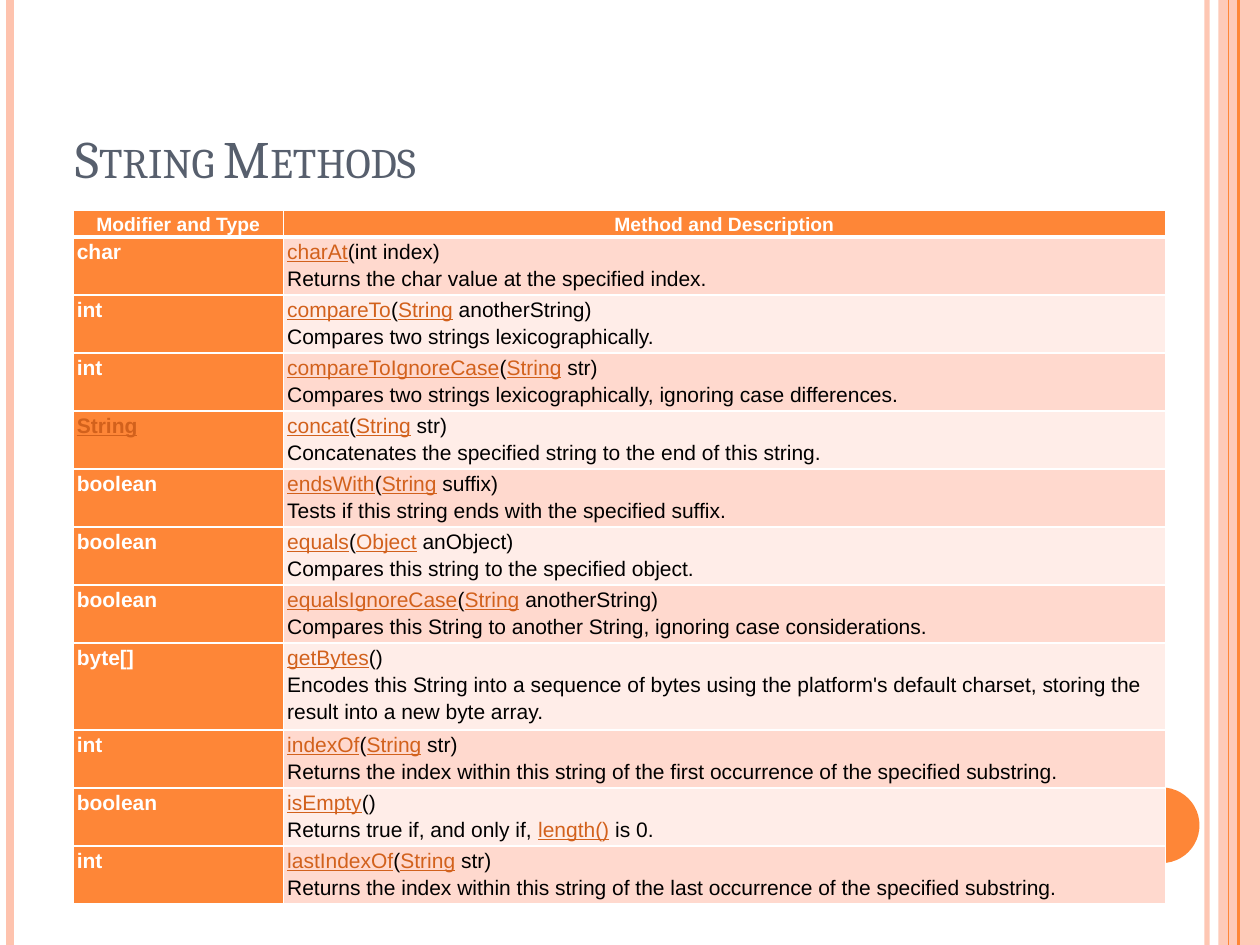
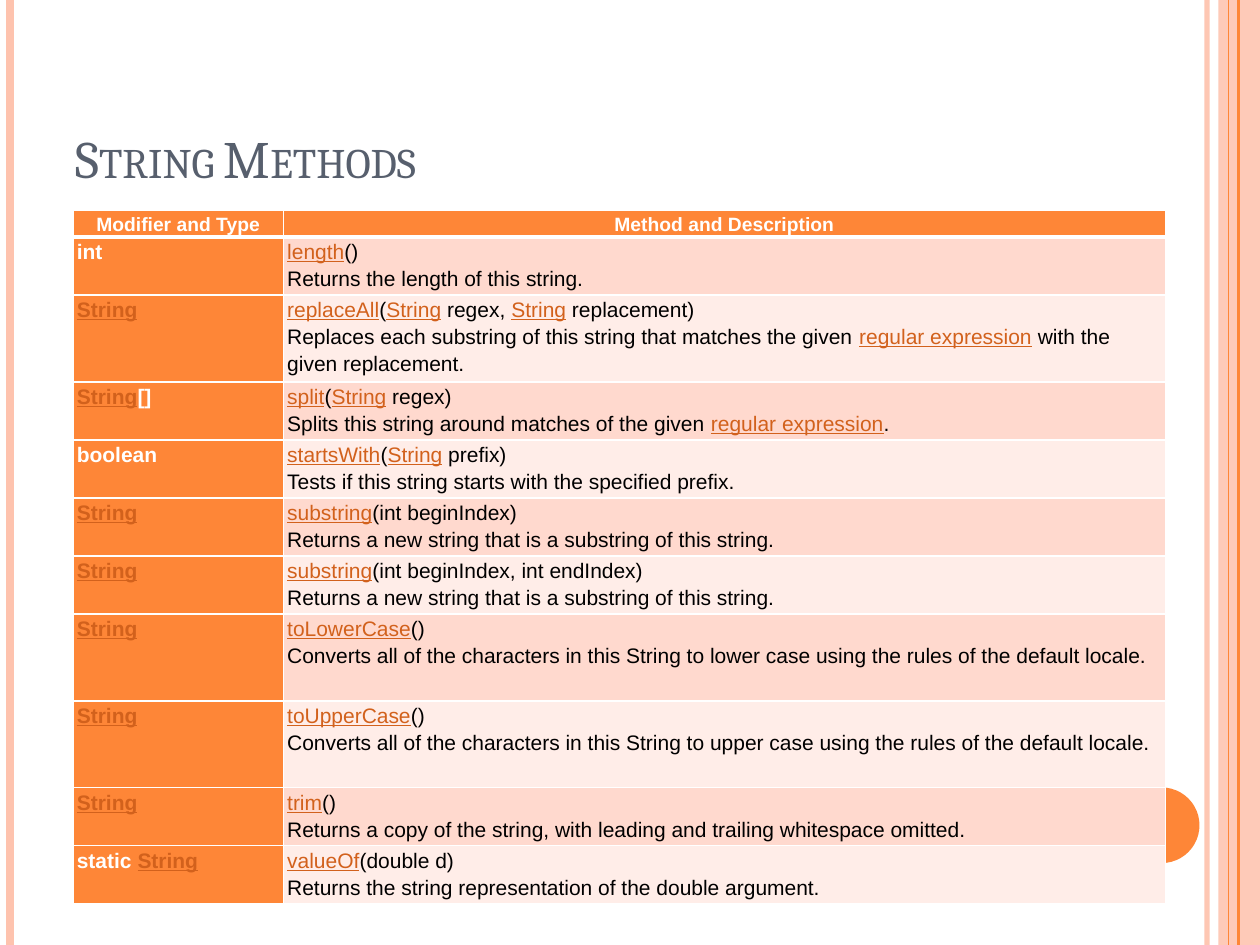
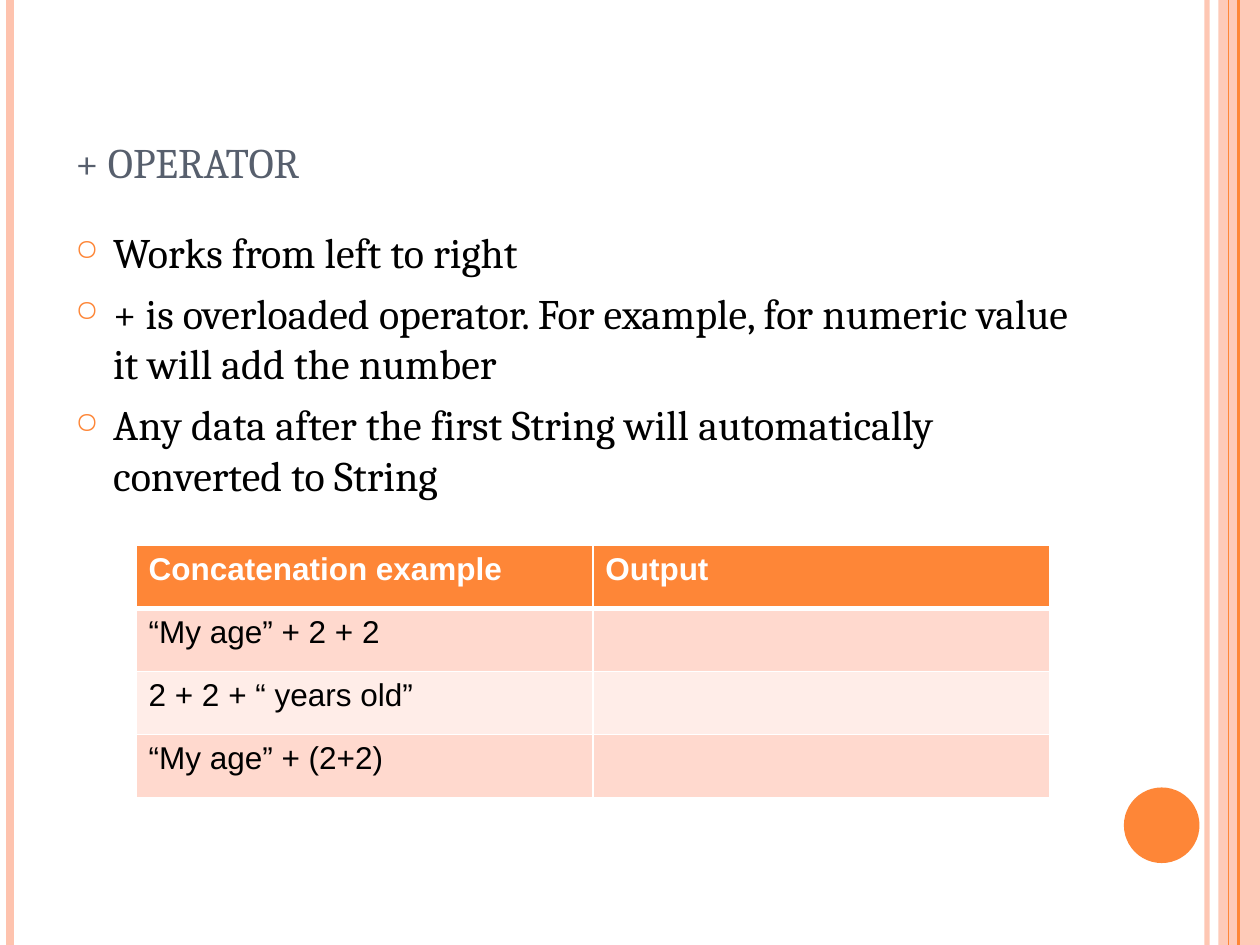
import pptx
import pptx.dml.color
import pptx.enum.shapes
import pptx.enum.text
import pptx.oxml
import pptx.oxml.ns
import pptx.util
from lxml import etree

Inches = pptx.util.Inches
Pt = pptx.util.Pt
RGBColor = pptx.dml.color.RGBColor
MSO_SHAPE = pptx.enum.shapes.MSO_SHAPE
PP_ALIGN = pptx.enum.text.PP_ALIGN
qn = pptx.oxml.ns.qn

ORANGE = RGBColor(0xFE, 0x86, 0x37)
PEACH = RGBColor(0xFE, 0xC3, 0xAE)
SLATE = RGBColor(0x57, 0x5F, 0x6D)
LINK = RGBColor(0xD2, 0x61, 0x1C)
BAND_DARK = RGBColor(0xFF, 0xD9, 0xCE)
BAND_LIGHT = RGBColor(0xFF, 0xED, 0xE8)
WHITE = RGBColor(0xFF, 0xFF, 0xFF)
BLACK = RGBColor(0, 0, 0)
HEAD_FONT, TABLE_FONT = "Cambria", "Arial"

# Text between asterisks is shown as a link
METHOD_HEADER = ("Modifier and Type", "Method and Description")
METHODS_1 = [
    ("char", "*charAt*(int index)", "Returns the char value at the specified index."),
    ("int", "*compareTo*(*String* anotherString)", "Compares two strings lexicographically."),
    ("int", "*compareToIgnoreCase*(*String* str)",
     "Compares two strings lexicographically, ignoring case differences."),
    ("*String*", "*concat*(*String* str)",
     "Concatenates the specified string to the end of this string."),
    ("boolean", "*endsWith*(*String* suffix)",
     "Tests if this string ends with the specified suffix."),
    ("boolean", "*equals*(*Object* anObject)", "Compares this string to the specified object."),
    ("boolean", "*equalsIgnoreCase*(*String* anotherString)",
     "Compares this String to another String, ignoring case considerations."),
    ("byte[]", "*getBytes*()",
     "Encodes this String into a sequence of bytes using the platform's default charset, "
     "storing the result into a new byte array."),
    ("int", "*indexOf*(*String* str)",
     "Returns the index within this string of the first occurrence of the specified substring."),
    ("boolean", "*isEmpty*()", "Returns true if, and only if, *length()* is 0."),
    ("int", "*lastIndexOf*(*String* str)",
     "Returns the index within this string of the last occurrence of the specified substring."),
]
METHODS_2 = [
    ("int", "*length*()", "Returns the length of this string."),
    ("*String*", "*replaceAll*(*String* regex, *String* replacement)",
     "Replaces each substring of this string that matches the given *regular expression* "
     "with the given replacement."),
    ("*String*[]", "*split*(*String* regex)",
     "Splits this string around matches of the given *regular expression*."),
    ("boolean", "*startsWith*(*String* prefix)",
     "Tests if this string starts with the specified prefix."),
    ("*String*", "*substring*(int beginIndex)",
     "Returns a new string that is a substring of this string."),
    ("*String*", "*substring*(int beginIndex, int endIndex)",
     "Returns a new string that is a substring of this string."),
    ("*String*", "*toLowerCase*()",
     "Converts all of the characters in this String to lower case using the rules of the "
     "default locale."),
    ("*String*", "*toUpperCase*()",
     "Converts all of the characters in this String to upper case using the rules of the "
     "default locale."),
    ("*String*", "*trim*()",
     "Returns a copy of the string, with leading and trailing whitespace omitted."),
    ("static *String*", "*valueOf*(double d)",
     "Returns the string representation of the double argument."),
]
BULLETS = [
    "Works from left to right",
    "+ is overloaded operator. For example, for numeric value it will add the number",
    "Any data after the first String will automatically converted to String",
]
EXAMPLES = [
    ("Concatenation example", "Output"),
    ("“My age” + 2 + 2", ""),
    ("2 + 2 + “ years old”", ""),
    ("“My age” + (2+2)", ""),
]


def add_runs(p, text, font, size, color, bold=False):
    for i, part in enumerate(text.split("*")):
        if part:
            r = p.add_run()
            r.text = part
            r.font.name, r.font.size, r.font.bold = font, Pt(size), bold
            r.font.color.rgb = LINK if i % 2 else color
            if i % 2:
                r.font.underline = True


def style_cell(cell, row, fill):
    """Fill a cell and give it white borders, thick under the header row."""
    cell.fill.solid()
    cell.fill.fore_color.rgb = fill
    widths = {"lnL": 1, "lnR": 1, "lnT": 3 if row == 1 else 1, "lnB": 3 if row == 0 else 1}
    for i, (tag, width) in enumerate(widths.items()):
        ln = etree.Element(qn("a:" + tag), w=str(Pt(width)))
        solid = etree.SubElement(ln, qn("a:solidFill"))
        etree.SubElement(solid, qn("a:srgbClr"), val=str(WHITE))
        cell._tc.get_or_add_tcPr().insert(i, ln)


prs = pptx.Presentation()
prs.slide_width, prs.slide_height = Inches(10), Inches(7.5)

# Side bands, circle and title of every slide
slides = []
for title in ("String Methods", "String Methods", "+ operator"):
    s = prs.slides.add_slide(prs.slide_layouts[6])
    slides.append(s)
    right_band = (MSO_SHAPE.RECTANGLE, 9.67, 0, 0.33, 7.5, PEACH, 87)
    circle = (MSO_SHAPE.OVAL, 8.92, 6.25, 0.6, 0.6, ORANGE, 100)
    rules = [(9.58, PEACH, 3, 93), (0.08, PEACH, 4.5, 100),
             (9.83, ORANGE, 1.5, 100), (9.75, ORANGE, 0.75, 100)]
    for kind, x, y, w, h, color, alpha in (right_band, circle):
        sp = s.shapes.add_shape(kind, Inches(x), Inches(y), Inches(w), Inches(h))
        sp.shadow.inherit = False
        sp.fill.solid()
        sp.fill.fore_color.rgb = color
        sp.line.fill.background()
        if alpha < 100:
            clr = sp._element.spPr.find(".//" + qn("a:srgbClr"))
            etree.SubElement(clr, qn("a:alpha"), val=str(alpha * 1000))
    for x, color, width, alpha in rules:
        sp = s.shapes.add_connector(pptx.enum.shapes.MSO_CONNECTOR.STRAIGHT,
                                    Inches(x), 0, Inches(x), Inches(7.5))
        sp.line.color.rgb = color
        sp.line.width = Pt(width)
        if alpha < 100:
            clr = sp._element.spPr.find(".//" + qn("a:srgbClr"))
            etree.SubElement(clr, qn("a:alpha"), val=str(alpha * 1000))
        etree.SubElement(sp._element.spPr, qn("a:effectLst"))

    tf = s.shapes.add_textbox(Inches(0.5), Inches(0.3), Inches(8.17), Inches(1.25)).text_frame
    tf.word_wrap = True
    tf.vertical_anchor = pptx.enum.text.MSO_ANCHOR.BOTTOM
    p = tf.paragraphs[0]
    add_runs(p, title, HEAD_FONT, 30, SLATE)
    p.runs[0].font._element.set("cap", "small")

# Method tables
for s, methods in zip(slides, (METHODS_1, METHODS_2)):
    table = s.shapes.add_table(len(methods) + 1, 2, Inches(0.58), Inches(1.67),
                               Inches(8.67), Inches(5.5)).table
    table.horz_banding = False
    table.columns[0].width, table.columns[1].width = Inches(1.67), Inches(7)
    for i, (head, *body) in enumerate([METHOD_HEADER] + methods):
        if i == 0:
            height = 0.21
        else:
            height = 0.69 if len(body[-1]) > 90 else 0.46
        table.rows[i].height = Inches(height)
        for j, lines in enumerate(([head], body)):
            cell = table.cell(i, j)
            accent = i == 0 or j == 0
            style_cell(cell, i, ORANGE if accent else BAND_DARK if i % 2 else BAND_LIGHT)
            cell.margin_left = cell.margin_right = Inches(0.03)
            cell.margin_top = cell.margin_bottom = 0
            for k, line in enumerate(lines):
                p = cell.text_frame.add_paragraph() if k else cell.text_frame.paragraphs[0]
                p.line_spacing = 1.15
                p.alignment = PP_ALIGN.LEFT if i else PP_ALIGN.CENTER
                add_runs(p, line, TABLE_FONT, 12 if i else 11,
                         WHITE if accent else BLACK, accent)

# Operator bullets
s = slides[2]
tf = s.shapes.add_textbox(Inches(0.5), Inches(1.75), Inches(8.17), Inches(5.33)).text_frame
tf.word_wrap = True
for i, text in enumerate(BULLETS):
    p = tf.add_paragraph() if i else tf.paragraphs[0]
    pPr = p._p.get_or_add_pPr()
    pPr.set("marL", str(Inches(0.3)))
    pPr.set("indent", str(-Inches(0.3)))
    clr = etree.SubElement(pPr, qn("a:buClr"))
    etree.SubElement(clr, qn("a:srgbClr"), val=str(ORANGE))
    etree.SubElement(pPr, qn("a:buSzPct"), val="70000")
    etree.SubElement(pPr, qn("a:buChar"), char="○")
    if i:
        p.space_before = Pt(6)
    add_runs(p, text, HEAD_FONT, 24, BLACK)

# Concatenation table
table = s.shapes.add_table(len(EXAMPLES), 2, Inches(1.08), Inches(4.33),
                           Inches(7.25), Inches(2)).table
table.horz_banding = False
for i, row in enumerate(EXAMPLES):
    for j, text in enumerate(row):
        cell = table.cell(i, j)
        style_cell(cell, i, ORANGE if i == 0 else BAND_DARK if i % 2 else BAND_LIGHT)
        add_runs(cell.text_frame.paragraphs[0], text, TABLE_FONT, 18,
                 BLACK if i else WHITE, i == 0)

prs.save("out.pptx")
